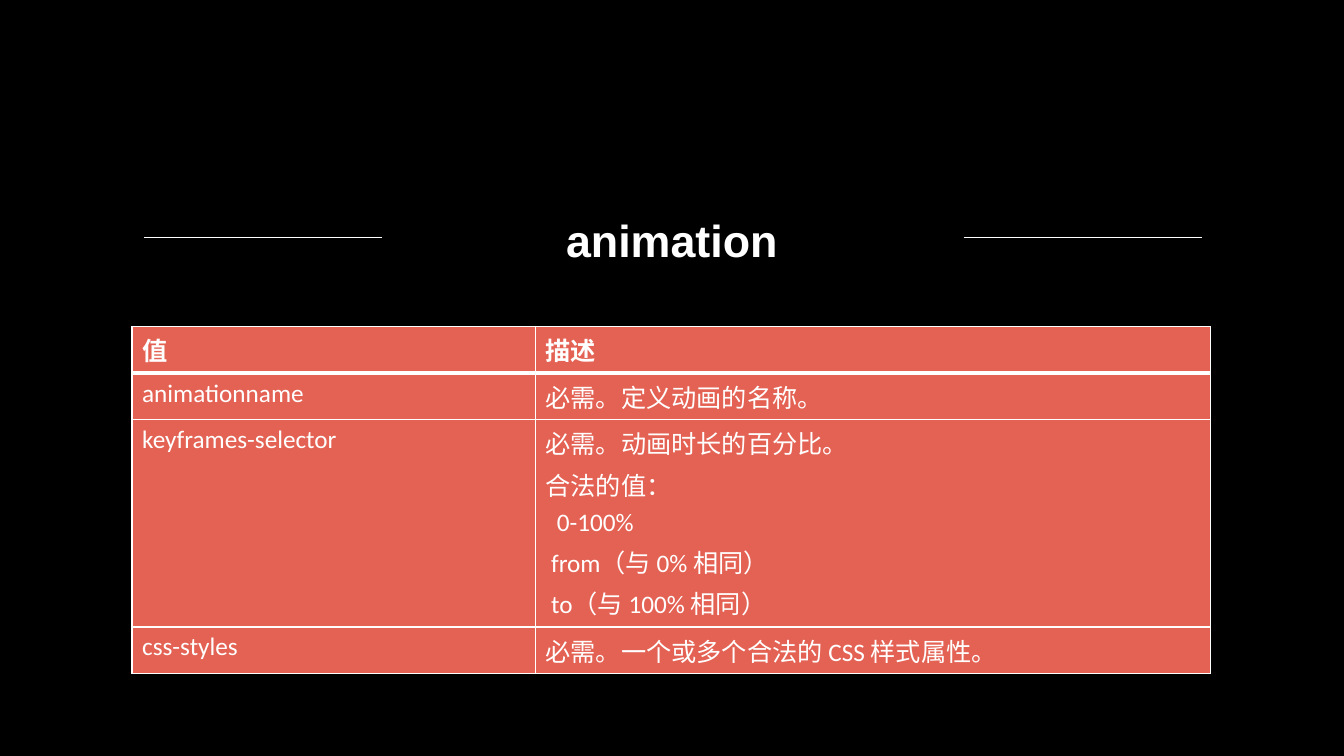
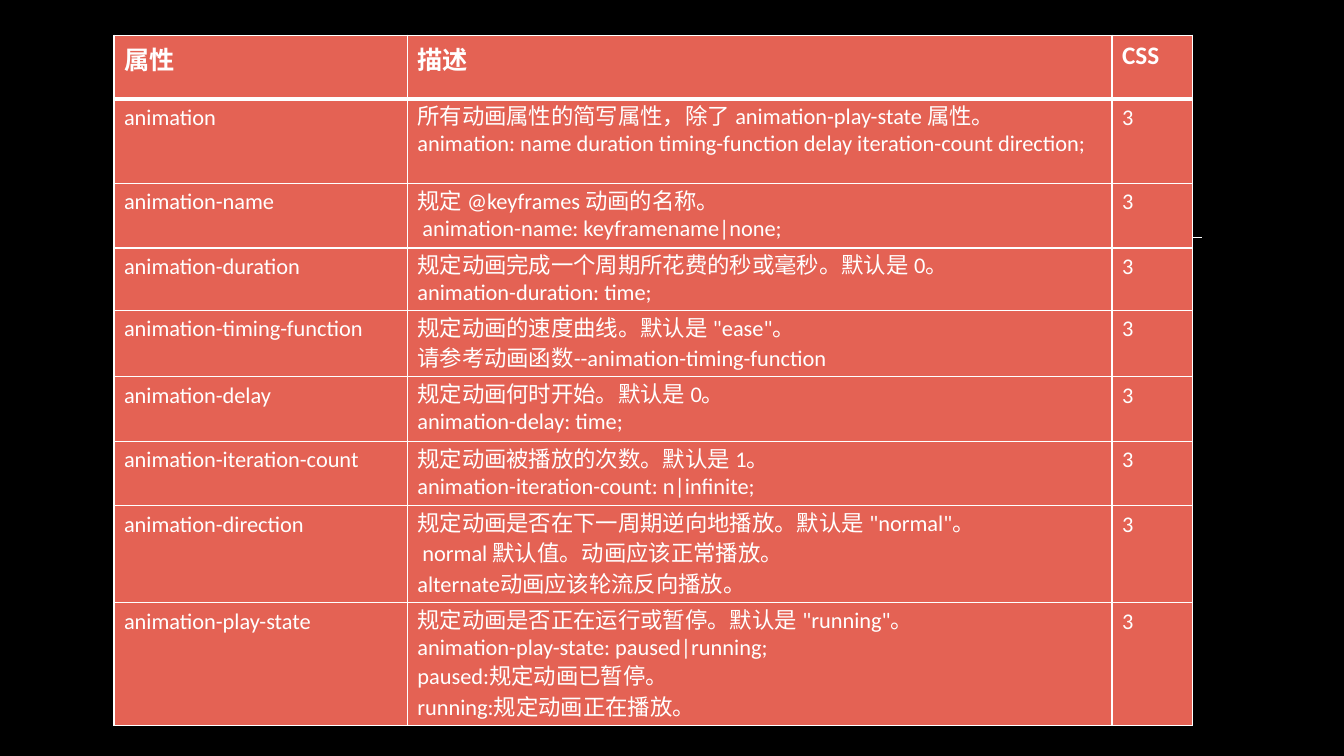
import lxml.etree
import pptx
import pptx.dml.color
import pptx.enum.shapes
import pptx.enum.text
import pptx.oxml.ns
import pptx.util
from dataclasses import dataclass
from pptx.util import Inches, Pt

TITLE = "animation"

KEYFRAMES_TABLE = {
    "left": 1.31, "top": 3.24,
    "columns": [4, 6.7],
    "rows": [0.46, 0.46, 2.06, 0.46],
    "body_size": 18,
    "description_spacing": 1.0,
    "cells": [
        ("值", "描述"),
        ("animationname", "必需。定义动画的名称。"),
        ("keyframes-selector",
         "必需。动画时长的百分比。\n合法的值：\n  0-100%\n from（与 0% 相同）\n to（与 100% 相同）"),
        ("css-styles", "必需。一个或多个合法的 CSS 样式属性。"),
    ],
}

PROPERTIES = [
    ("animation",
     "所有动画属性的简写属性，除了 animation-play-state 属性。\n"
     "animation: name duration timing-function delay iteration-count direction;"),
    ("animation-name",
     "规定 @keyframes 动画的名称。\n animation-name: keyframename|none;"),
    ("animation-duration",
     "规定动画完成一个周期所花费的秒或毫秒。默认是 0。\nanimation-duration: time;"),
    ("animation-timing-function",
     "规定动画的速度曲线。默认是 \"ease\"。\n请参考动画函数--animation-timing-function"),
    ("animation-delay",
     "规定动画何时开始。默认是 0。\nanimation-delay: time;"),
    ("animation-iteration-count",
     "规定动画被播放的次数。默认是 1。\nanimation-iteration-count: n|infinite;"),
    ("animation-direction",
     "规定动画是否在下一周期逆向地播放。默认是 \"normal\"。\n"
     " normal 默认值。动画应该正常播放。\nalternate动画应该轮流反向播放。"),
    ("animation-play-state",
     "规定动画是否正在运行或暂停。默认是 \"running\"。\n"
     "animation-play-state: paused|running;\n"
     "paused:规定动画已暂停。\nrunning:规定动画正在播放。"),
]
CSS_VERSION = "3"

PROPERTIES_TABLE = {
    "left": 1.13, "top": 0.35,
    "columns": [2.91, 6.99, 0.8],
    "rows": [0.63, 0.84, 0.64, 0.62, 0.66, 0.64, 0.64, 0.96, 1.22],
    "body_size": 16,
    "description_spacing": 0.8,
    "cells": [("属性", "描述", "CSS")]
             + [(name, text, CSS_VERSION) for name, text in PROPERTIES],
}
DESCRIPTION_COLUMN = 1


@dataclass(frozen=True)
class Theme:
    """Colours, fonts and sizes shared by the slides."""
    background: str = "000000"
    foreground: str = "FFFFFF"
    cell: str = "E46254"
    title_font: str = "Arial"
    table_font: str = "Calibri"
    title_size: int = 32
    header_size: int = 18
    rule_width: float = 0.5
    border_width: int = 1
    header_border_width: int = 3
    space_before_percent: int = 20


THEME = Theme()
RULE_Y = 2.35
RULE_SPANS = [(1.43, 3.79), (9.56, 11.92)]


def color(value):
    """Turn a hex value into a colour object."""
    return pptx.dml.color.RGBColor.from_string(value)


def add_element(parent, tag, **attributes):
    """Append a DrawingML element and return it."""
    return lxml.etree.SubElement(parent, pptx.oxml.ns.qn(tag), attributes)


def style_font(paragraph, name, size, bold):
    """Give a paragraph its font in the foreground colour."""
    font = paragraph.font
    font.name, font.size, font.bold = name, Pt(size), bold
    font.color.rgb = color(THEME.foreground)


def add_rules(slide):
    """Draw the two thin lines that flank the title position."""
    for start, end in RULE_SPANS:
        rule = slide.shapes.add_connector(
            pptx.enum.shapes.MSO_CONNECTOR.STRAIGHT,
            Inches(start), Inches(RULE_Y), Inches(end), Inches(RULE_Y))
        rule.line.color.rgb = color(THEME.foreground)
        rule.line.width = Pt(THEME.rule_width)
        add_element(rule._element.spPr, "a:effectLst")


def add_title(slide, text):
    """Add the centred title between the rules."""
    box = slide.shapes.add_textbox(Inches(3.85), Inches(1.92), Inches(5.63), Inches(1.04))
    frame = box.text_frame
    frame.word_wrap = True
    frame.vertical_anchor = pptx.enum.text.MSO_ANCHOR.MIDDLE
    frame.margin_left = frame.margin_right = frame.margin_top = 0
    frame.margin_bottom = Inches(0.05)
    frame.text = text
    paragraph = frame.paragraphs[0]
    paragraph.alignment = pptx.enum.text.PP_ALIGN.CENTER
    paragraph.line_spacing = 0.9
    style_font(paragraph, THEME.title_font, THEME.title_size, True)


def add_borders(cell, row):
    """Outline a cell, with a heavy line below the header row."""
    properties = cell._tc.get_or_add_tcPr()
    heavy_side = {0: "B", 1: "T"}.get(row)
    for side in "LRTB":
        width = THEME.header_border_width if side == heavy_side else THEME.border_width
        line = add_element(properties, f"a:ln{side}", w=str(Pt(width)))
        fill = add_element(line, "a:solidFill")
        add_element(fill, "a:srgbClr", val=THEME.foreground)


def fill_cell(cell, text, row, size, line_spacing):
    """Write and style one table cell."""
    add_borders(cell, row)
    cell.fill.solid()
    cell.fill.fore_color.rgb = color(THEME.cell)
    cell.text_frame.text = text
    for paragraph in cell.text_frame.paragraphs:
        style_font(paragraph, THEME.table_font, size, row == 0)
        if line_spacing != 1:
            paragraph.line_spacing = line_spacing
        paragraph.space_before = Pt(0)
        spacing = paragraph._p.pPr.find(pptx.oxml.ns.qn("a:spcBef"))
        spacing.clear()
        add_element(spacing, "a:spcPct", val=str(THEME.space_before_percent * 1000))


def add_table(slide, content):
    """Build a table from its content description."""
    columns, rows = content["columns"], content["rows"]
    table = slide.shapes.add_table(
        len(rows), len(columns), Inches(content["left"]), Inches(content["top"]),
        Inches(sum(columns)), Inches(sum(rows))).table
    table.first_row = table.horz_banding = False
    for column, width in zip(table.columns, columns):
        column.width = Inches(width)
    for row, (height, texts) in enumerate(zip(rows, content["cells"])):
        table.rows[row].height = Inches(height)
        size = content["body_size"] if row else THEME.header_size
        for column, text in enumerate(texts):
            is_description = row > 0 and column == DESCRIPTION_COLUMN
            line_spacing = content["description_spacing"] if is_description else 1
            fill_cell(table.cell(row, column), text, row, size, line_spacing)


def add_slide(presentation, table, title=None):
    """Add a slide with the shared rules, an optional title and a table."""
    slide = presentation.slides.add_slide(presentation.slide_layouts[6])
    add_rules(slide)
    if title:
        add_title(slide, title)
    add_table(slide, table)


def main():
    """Build and save the presentation."""
    presentation = pptx.Presentation()
    presentation.slide_width, presentation.slide_height = Inches(13.33), Inches(7.5)
    background = presentation.slide_master.background.fill
    background.solid()
    background.fore_color.rgb = color(THEME.background)
    add_slide(presentation, KEYFRAMES_TABLE, TITLE)
    add_slide(presentation, PROPERTIES_TABLE)
    presentation.save("out.pptx")


main()
